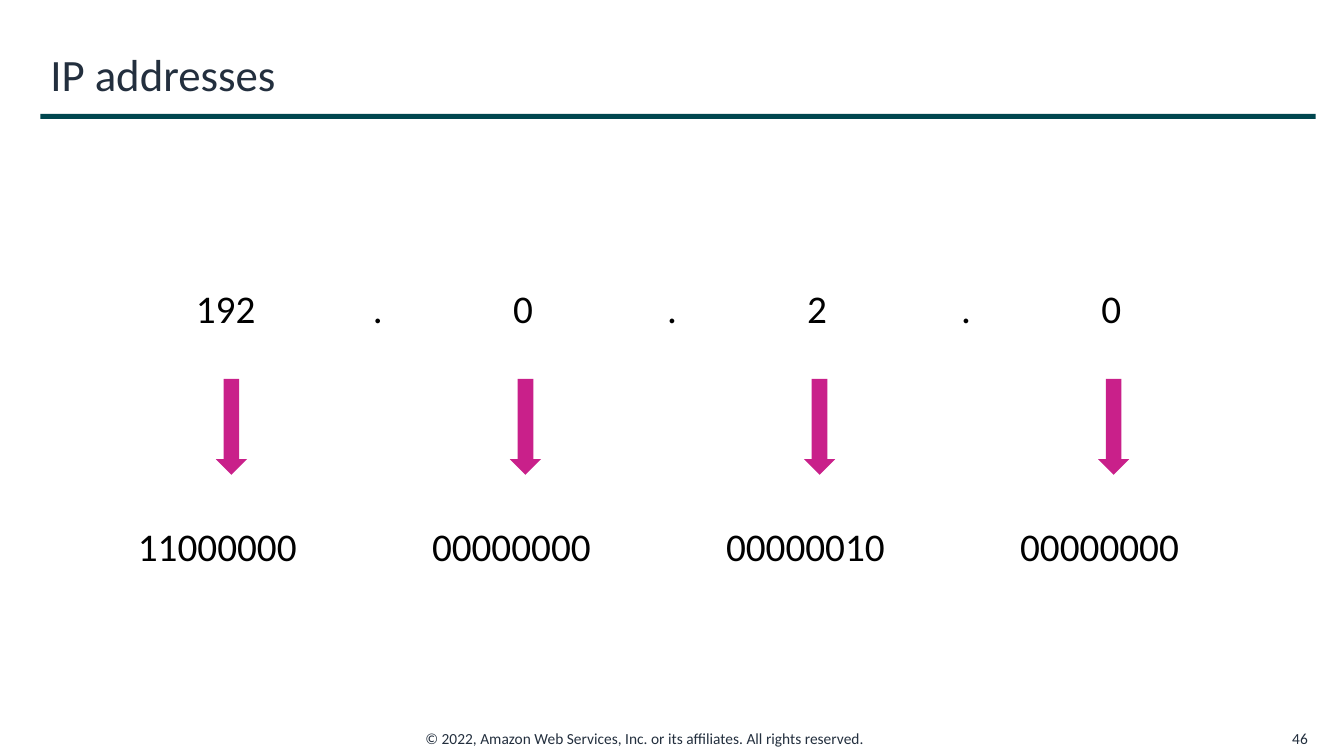
from dataclasses import dataclass

from pptx import Presentation
from pptx.dml.color import RGBColor
from pptx.enum import shapes, text
from pptx.util import Inches, Pt


@dataclass(frozen=True)
class Theme:
    font: str = "Calibri"
    ink: str = "232F3E"
    black: str = "000000"
    rule: str = "00464F"
    arrow: str = "C9208A"
    title_size: int = 32
    octet_size: int = 28
    footer_size: int = 11


THEME = Theme()
OCTETS = (192, 0, 2, 0)
FIRST_CENTER, LAST_CENTER = 2.29, 11.04
PITCH = (LAST_CENTER - FIRST_CENTER) / (len(OCTETS) - 1)
ADDRESS_TOP, ARROW_TOP, BINARY_TOP = 2.77, 3.76, 5.13
OCTET_HEIGHT = 0.57


def add_label(slide, wording, left, top, width, height, size, color,
              align=text.PP_ALIGN.LEFT, anchor=text.MSO_ANCHOR.TOP, wrap=True):
    label = slide.shapes.add_textbox(
        Inches(left), Inches(top), Inches(width), Inches(height))
    frame = label.text_frame
    frame.word_wrap = wrap
    frame.vertical_anchor = anchor
    paragraph = frame.paragraphs[0]
    paragraph.alignment = align
    run = paragraph.add_run()
    run.text = wording
    run.font.name = THEME.font
    run.font.size = Pt(size)
    run.font.color.rgb = RGBColor.from_string(color)


def add_block(slide, preset, left, top, width, height, color):
    """Add a preset shape with a plain fill and no outline."""
    block = slide.shapes.add_shape(
        preset, Inches(left), Inches(top), Inches(width), Inches(height))
    block.shadow.inherit = False
    block.fill.solid()
    block.fill.fore_color.rgb = RGBColor.from_string(color)
    block.line.fill.background()


def add_octet_text(slide, wording, center, top, width, **layout):
    add_label(slide, wording, center - width / 2, top, width, OCTET_HEIGHT,
              THEME.octet_size, THEME.black, **layout)


def add_octet(slide, octet, center):
    """Add a decimal octet, its arrow and its binary form in one column."""
    decimal_width = 0.89 if octet > 99 else 0.43
    add_octet_text(slide, str(octet), center, ADDRESS_TOP, decimal_width, wrap=False)
    add_block(slide, shapes.MSO_SHAPE.DOWN_ARROW, center - 0.15, ARROW_TOP,
              0.31, 0.95, THEME.arrow)
    add_octet_text(slide, f"{octet:08b}", center, BINARY_TOP, 2.04, wrap=False)


def add_frame(slide):
    """Add the title, its rule, the copyright line and the page number."""
    middle = text.MSO_ANCHOR.MIDDLE
    add_label(slide, "IP addresses", 0.4, 0.33, 12.65, 0.8,
              THEME.title_size, THEME.ink, anchor=middle)
    add_block(slide, shapes.MSO_SHAPE.RECTANGLE, 0.4, 1.13, 12.65, 0.05, THEME.rule)
    add_label(slide, "© 2022, Amazon Web Services, Inc. or its affiliates. All rights reserved.",
              4.12, 7.18, 5.09, 0.29, THEME.footer_size, THEME.ink, wrap=False)
    add_label(slide, "46", 12.54, 7.18, 0.53, 0.29, THEME.footer_size, THEME.ink,
              align=text.PP_ALIGN.RIGHT, anchor=middle)


def main():
    deck = Presentation()
    deck.slide_width, deck.slide_height = Inches(13.33), Inches(7.5)
    slide = deck.slides.add_slide(deck.slide_layouts[6])
    add_frame(slide)
    for column, octet in enumerate(OCTETS):
        center = FIRST_CENTER + column * PITCH
        if column:
            add_octet_text(slide, ".", center - PITCH / 2, ADDRESS_TOP, 0.89,
                           align=text.PP_ALIGN.CENTER)
        add_octet(slide, octet, center)
    deck.save("out.pptx")


if __name__ == "__main__":
    main()
